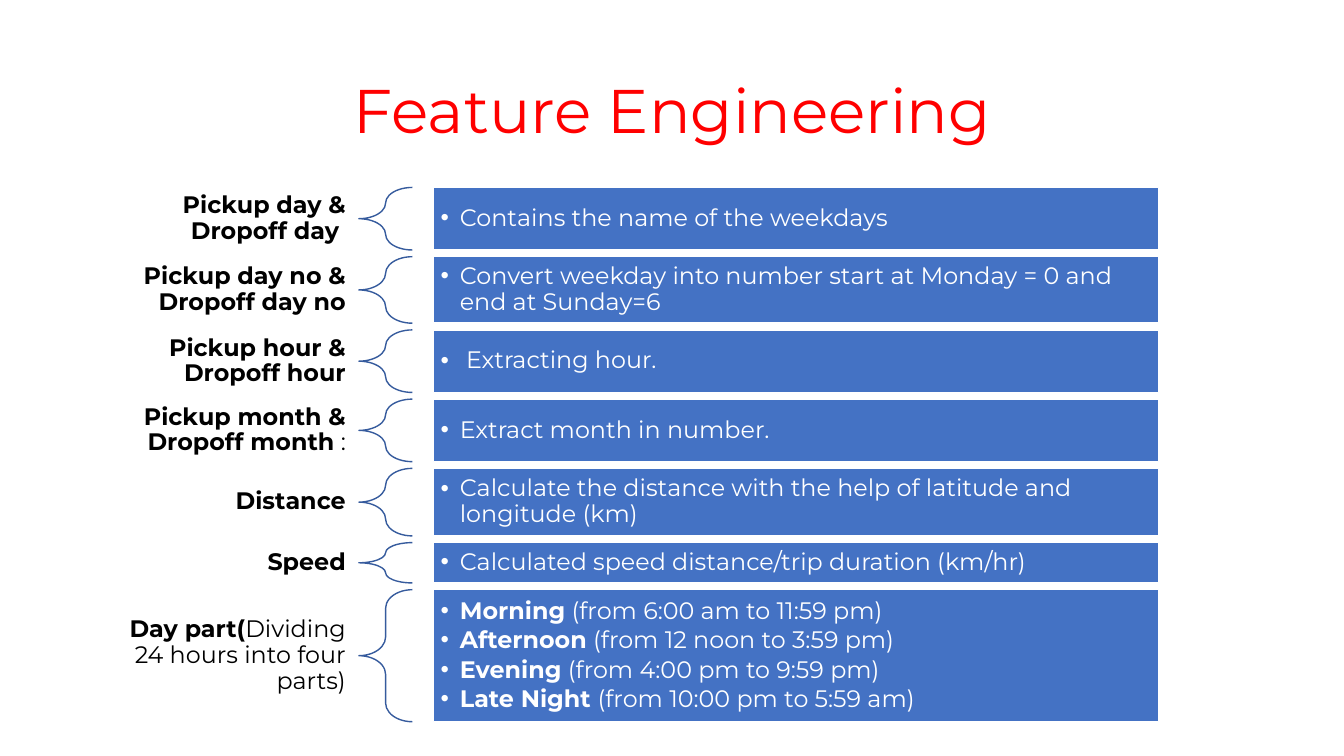
from lxml.etree import SubElement
from pptx import Presentation
from pptx.dml.color import RGBColor
from pptx.enum.shapes import MSO_SHAPE
from pptx.enum.text import MSO_ANCHOR, PP_ALIGN
from pptx.oxml.ns import qn
from pptx.util import Inches, Pt

COLORS = {
    "title": "FF0000",
    "label": "000000",
    "panel": "4472C4",
    "brace": "365B9D",
    "white": "FFFFFF",
}
FONT = "Montserrat"
BODY_SIZE = 17
ROWS_TOP, ROWS_BOTTOM = 1.86, 7.16
LABEL_LEFT, LABEL_WIDTH = 0.92, 2.64
BRACE_LEFT, BRACE_WIDTH = 3.56, 0.53
PANEL_LEFT, PANEL_WIDTH = 4.3, 7.19
BOLD, PLAIN = True, False

# height, label lines, label runs, detail paragraphs
FEATURES = [
    (0.62, 2, [("Pickup day & Dropoff day ", BOLD)],
     [[("Contains the name of the weekdays", PLAIN)]]),
    (0.66, 2, [("Pickup day no & Dropoff day no", BOLD)],
     [[("Convert weekday into number start at Monday = 0 and end at Sunday=6", PLAIN)]]),
    (0.62, 2, [(" ", PLAIN), ("Pickup hour & Dropoff hour", BOLD)],
     [[(" Extracting hour.", PLAIN)]]),
    (0.62, 2, [("Pickup month & Dropoff month", BOLD), (" :", PLAIN)],
     [[("Extract month in number.", PLAIN)]]),
    (0.67, 1, [("Distance", BOLD)],
     [[("Calculate the distance with the help of latitude and longitude (km)", PLAIN)]]),
    (0.4, 1, [("Speed", BOLD)],
     [[("Calculated speed distance/trip duration (km/hr)", PLAIN)]]),
    (1.31, 3, [("Day part(", BOLD), ("Dividing 24 hours into four parts)", PLAIN)],
     [[("Morning", BOLD), (" (from 6:00 am to 11:59 pm)", PLAIN)],
      [("Afternoon", BOLD), (" (from 12 noon to 3:59 pm)", PLAIN)],
      [("Evening", BOLD), (" (from 4:00 pm to 9:59 pm)", PLAIN)],
      [("Late Night ", BOLD), ("(from 10:00 pm to 5:59 am)", PLAIN)]]),
]


def rgb(name):
    return RGBColor.from_string(COLORS[name])


def set_frame(frame, side, top):
    frame.word_wrap = True
    frame.vertical_anchor = MSO_ANCHOR.MIDDLE
    frame.margin_left = frame.margin_right = Inches(side)
    frame.margin_top = frame.margin_bottom = Inches(top)


def write_runs(paragraph, runs, size, color, align, space_after):
    paragraph.alignment = align
    paragraph.line_spacing = 0.9
    paragraph.space_after = Pt(space_after)
    for text, bold in runs:
        run = paragraph.add_run()
        run.text = text
        run.font.name = FONT
        run.font.size = Pt(size)
        run.font.bold = bold
        run.font.color.rgb = rgb(color)


def add_bullet(paragraph):
    paragraph.level = 1
    properties = paragraph._p.get_or_add_pPr()
    properties.set("marL", str(Inches(0.19)))
    properties.set("indent", str(Inches(-0.19)))
    SubElement(properties, qn("a:buFont")).set("typeface", "Arial")
    SubElement(properties, qn("a:buChar")).set("char", "•")


def add_text(slide, box, runs, size, color, align, space_after, side):
    frame = slide.shapes.add_textbox(*map(Inches, box)).text_frame
    set_frame(frame, side, 0.05)
    write_runs(frame.paragraphs[0], runs, size, color, align, space_after)


def add_outlined(slide, kind, box, line_color):
    shape = slide.shapes.add_shape(kind, *map(Inches, box))
    shape.shadow.inherit = False
    shape.line.color.rgb = rgb(line_color)
    shape.line.width = Pt(1)
    return shape


def add_brace(slide, top, height):
    box = (BRACE_LEFT, top, BRACE_WIDTH, height)
    brace = add_outlined(slide, MSO_SHAPE.LEFT_BRACE, box, "brace")
    brace.fill.background()
    brace.adjustments[0] = 0.35
    brace.adjustments[1] = 0.5


def add_panel(slide, top, height, details):
    box = (PANEL_LEFT, top, PANEL_WIDTH, height)
    panel = add_outlined(slide, MSO_SHAPE.RECTANGLE, box, "white")
    panel.fill.solid()
    panel.fill.fore_color.rgb = rgb("panel")
    frame = panel.text_frame
    set_frame(frame, 0.07, 0.07)
    for index, runs in enumerate(details):
        paragraph = frame.add_paragraph() if index else frame.paragraphs[0]
        write_runs(paragraph, runs, BODY_SIZE, "white", PP_ALIGN.LEFT, 2.55)
        add_bullet(paragraph)


def add_feature(slide, top, height, label_lines, label, details):
    label_height = 0.12 + 0.25 * label_lines
    label_top = top + (height - label_height) / 2
    add_text(slide, (LABEL_LEFT, label_top, LABEL_WIDTH, label_height),
             label, BODY_SIZE, "label", PP_ALIGN.RIGHT, 5.95, 0.13)
    add_brace(slide, top, height)
    add_panel(slide, top, height, details)


def main():
    deck = Presentation()
    deck.slide_width, deck.slide_height = Inches(13.33), Inches(7.5)
    slide = deck.slides.add_slide(deck.slide_layouts[6])
    add_text(slide, (0.92, 0.4, 11.5, 1.45), [("Feature Engineering", PLAIN)],
             44, "title", PP_ALIGN.CENTER, 0, 0.1)
    total_height = sum(feature[0] for feature in FEATURES)
    gap = (ROWS_BOTTOM - ROWS_TOP - total_height) / (len(FEATURES) - 1)
    top = ROWS_TOP
    for height, label_lines, label, details in FEATURES:
        add_feature(slide, top, height, label_lines, label, details)
        top += height + gap
    deck.save("out.pptx")


if __name__ == "__main__":
    main()
